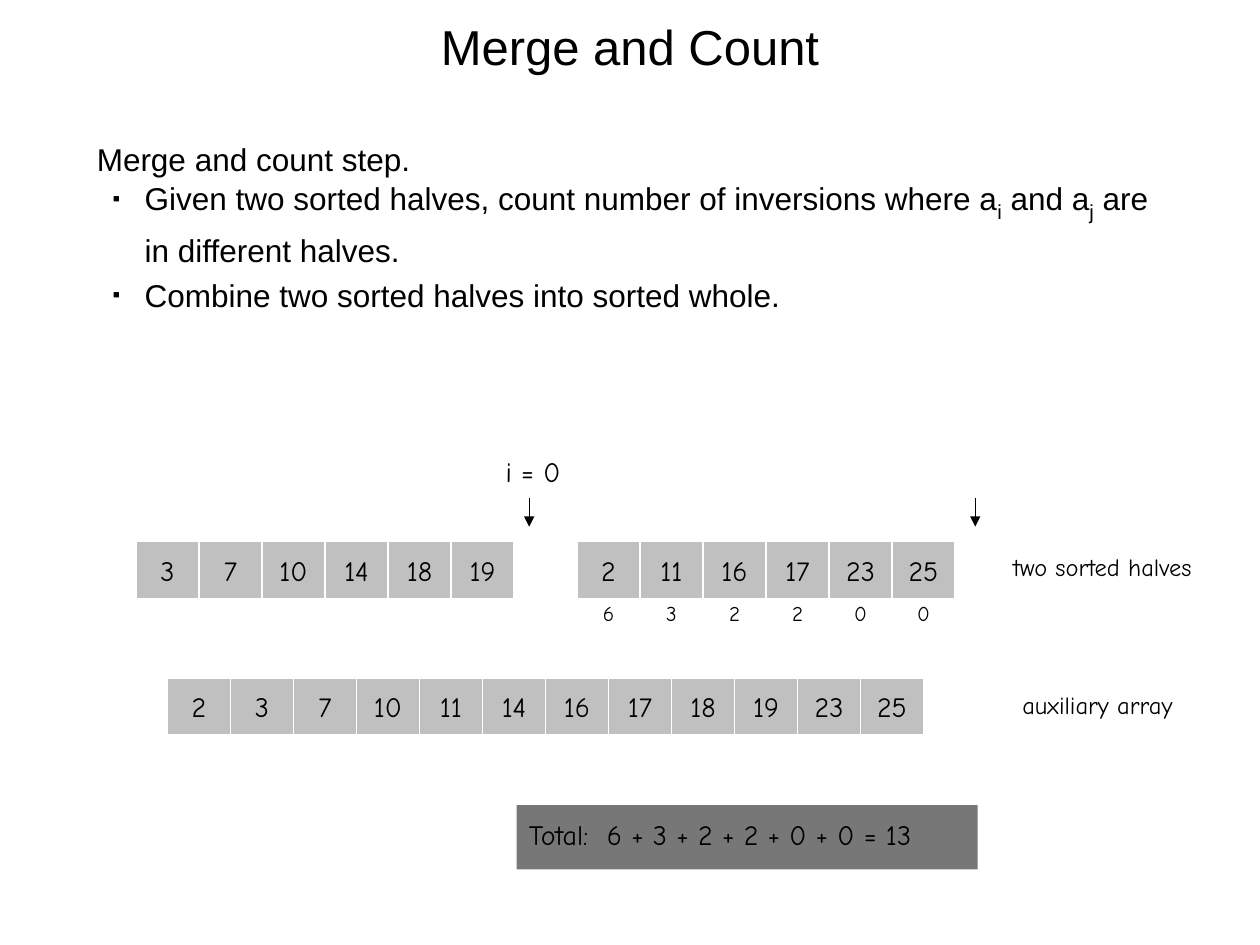
from lxml.etree import SubElement
from pptx import Presentation
from pptx.dml.color import RGBColor
from pptx.enum.shapes import MSO_CONNECTOR, MSO_SHAPE
from pptx.enum.text import MSO_ANCHOR, PP_ALIGN
from pptx.oxml.ns import qn
from pptx.util import Inches, Pt

BLACK = RGBColor(0, 0, 0)
WHITE = RGBColor(255, 255, 255)
SILVER = RGBColor(0xC0, 0xC0, 0xC0)
GRAY = RGBColor(0x77, 0x77, 0x77)
COLS, ROWS = 20, 15
HIGH = 0.9


class Deck:
    plain = "Arial"
    hand = "Comic Neue"

    def __init__(self):
        self.file = Presentation()
        self.file.slide_width = Inches(10)
        self.file.slide_height = Inches(7.5)
        self.slide = self.file.slides.add_slide(self.file.slide_layouts[6])
        self.shapes = self.slide.shapes

    def grid(self, col, row):
        wide, tall = self.file.slide_width, self.file.slide_height
        return round(col * wide / COLS), round(row * tall / ROWS)

    def style(self, part, size, font):
        for run in part.runs:
            run.font.size = Pt(size)
            run.font.name = font
            run.font.color.rgb = BLACK

    def text(self, words, col, row, wide, tall, size, font=hand):
        box = self.shapes.add_textbox(*self.grid(col, row), *self.grid(wide, tall))
        frame = box.text_frame
        frame.word_wrap = True
        frame.text = words
        part = frame.paragraphs[0]
        part.alignment = PP_ALIGN.CENTER
        self.style(part, size, font)
        return frame

    def title(self, words):
        frame = self.text(words, 0, 0.34, COLS, 1, 28, self.plain)
        frame.vertical_anchor = MSO_ANCHOR.MIDDLE
        frame.paragraphs[0].line_spacing = 0.7

    def body(self, head, points):
        frame = self.text(head, 1.34, 2, 17.16, 11.84, 18, self.plain)
        frame.paragraphs[0].alignment = PP_ALIGN.LEFT
        for point in points:
            self.point(frame.add_paragraph(), point)
        for part in frame.paragraphs:
            part.line_spacing = Pt(26)

    def point(self, part, pieces):
        part.level = 1
        for piece in pieces:
            part.add_run().text = piece
        self.style(part, 18, self.plain)
        for run in part.runs[1::2]:
            run.font.size = Pt(20)
            run.font._element.set("baseline", "-25000")
        props = part._p.get_or_add_pPr()
        props.set("marL", str(Inches(0.38)))
        props.set("indent", str(Inches(-0.25)))
        tint = SubElement(props, qn("a:buClr"))
        SubElement(tint, qn("a:srgbClr"), val=str(BLACK))
        SubElement(props, qn("a:buSzPct"), val="35000")
        SubElement(props, qn("a:buFont"), typeface=self.plain)
        SubElement(props, qn("a:buChar"), char="■")

    def block(self, words, col, row, wide, tall, fill):
        box = self.shapes.add_shape(
            MSO_SHAPE.RECTANGLE, *self.grid(col, row), *self.grid(wide, tall))
        box.shadow.inherit = False
        box.fill.solid()
        box.fill.fore_color.rgb = fill
        box.line.fill.background()
        box.text_frame.text = words
        self.style(box.text_frame.paragraphs[0], 16, self.hand)
        return box

    def array(self, items, col, row):
        for step, item in enumerate(items):
            box = self.block(str(item), col + step, row, 1, HIGH, SILVER)
            box.line.color.rgb = WHITE
            box.line.width = Pt(0.75)
            box.text_frame.word_wrap = False
            box.text_frame.vertical_anchor = MSO_ANCHOR.MIDDLE
            box.text_frame.paragraphs[0].alignment = PP_ALIGN.CENTER

    def counts(self, items, col, row):
        for step, item in enumerate(items):
            self.text(str(item), col + step + 0.2, row, 0.6, 0.68, 12)

    def total(self, words, col, row, wide, tall):
        box = self.block(words, col, row, wide, tall, GRAY)
        frame = box.text_frame
        frame.vertical_anchor = MSO_ANCHOR.TOP
        frame.margin_top = frame.margin_bottom = Inches(0.1)
        frame.paragraphs[0].alignment = PP_ALIGN.LEFT

    def arrow(self, col, top, end):
        line = self.shapes.add_connector(
            MSO_CONNECTOR.STRAIGHT, *self.grid(col, top), *self.grid(col, end))
        line.line.color.rgb = BLACK
        line.line.width = Pt(0.75)
        SubElement(line.line._get_or_add_ln(), qn("a:tailEnd"), type="triangle")
        SubElement(line._element.spPr, qn("a:effectLst"))


def main():
    left = [3, 7, 10, 14, 18, 19]
    right = [2, 11, 16, 17, 23, 25]
    found = [6, 3, 2, 2, 0, 0]
    deck = Deck()
    deck.title("Merge and Count")
    deck.body("Merge and count step.", [
        ["Given two sorted halves, count number of inversions where a", "i",
         " and a", "j", " are in different halves."],
        ["Combine two sorted halves into sorted whole."],
    ])
    deck.array(left, 2.16, 8.6)
    deck.array(right, 9.16, 8.6)
    deck.text("two sorted halves", 15.36, 8.66, 4.28, 0.74, 14)
    deck.array(sorted(left + right), 2.66, 10.76)
    deck.text("auxiliary array", 15.34, 10.86, 4.16, 0.74, 14)
    for col in (8.4, 15.48):
        deck.arrow(col, 7.9, 8.36)
    deck.text("i = 0", 6.38, 7.12, 4.16, 0.82, 16)
    deck.counts(found, 9.16, 9.44)
    terms = " + ".join(map(str, found))
    deck.total(f"Total:  {terms} = {sum(found)}", 8.2, 12.78, 7.32, 1.02)
    deck.file.save("out.pptx")


if __name__ == "__main__":
    main()
